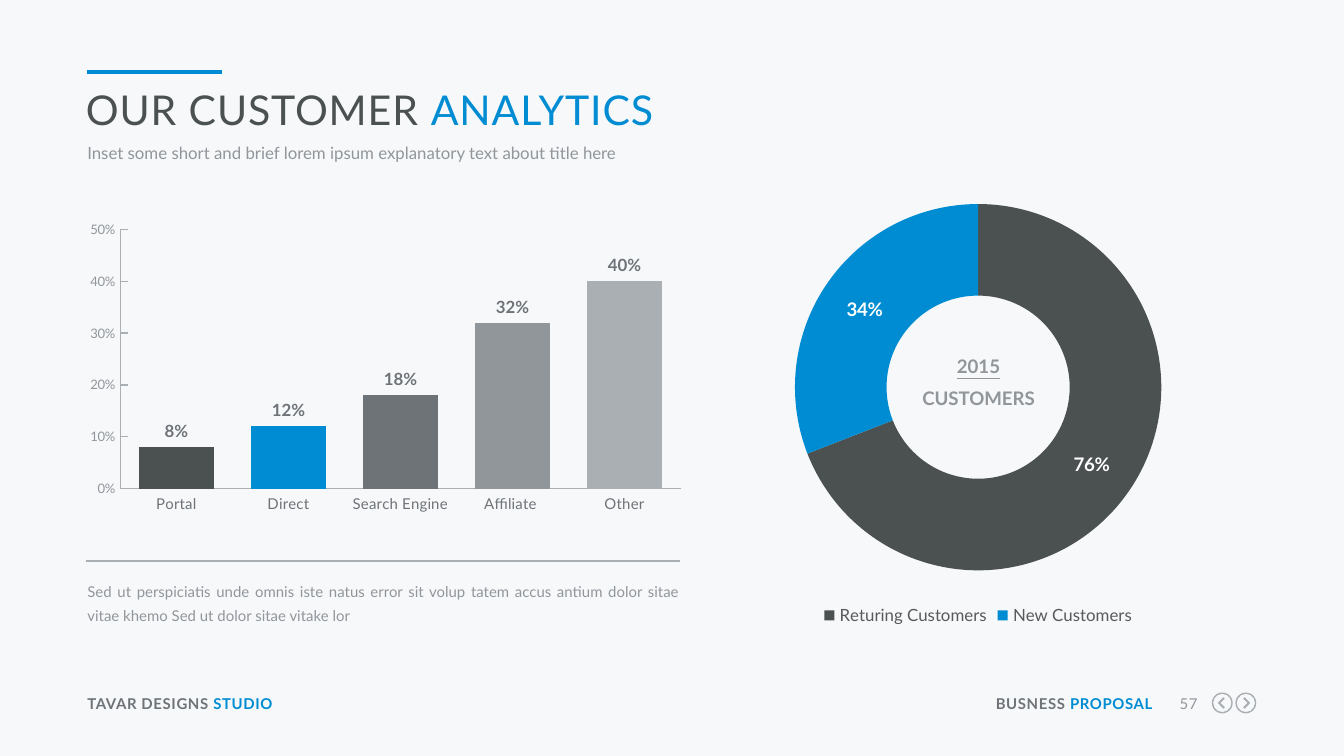
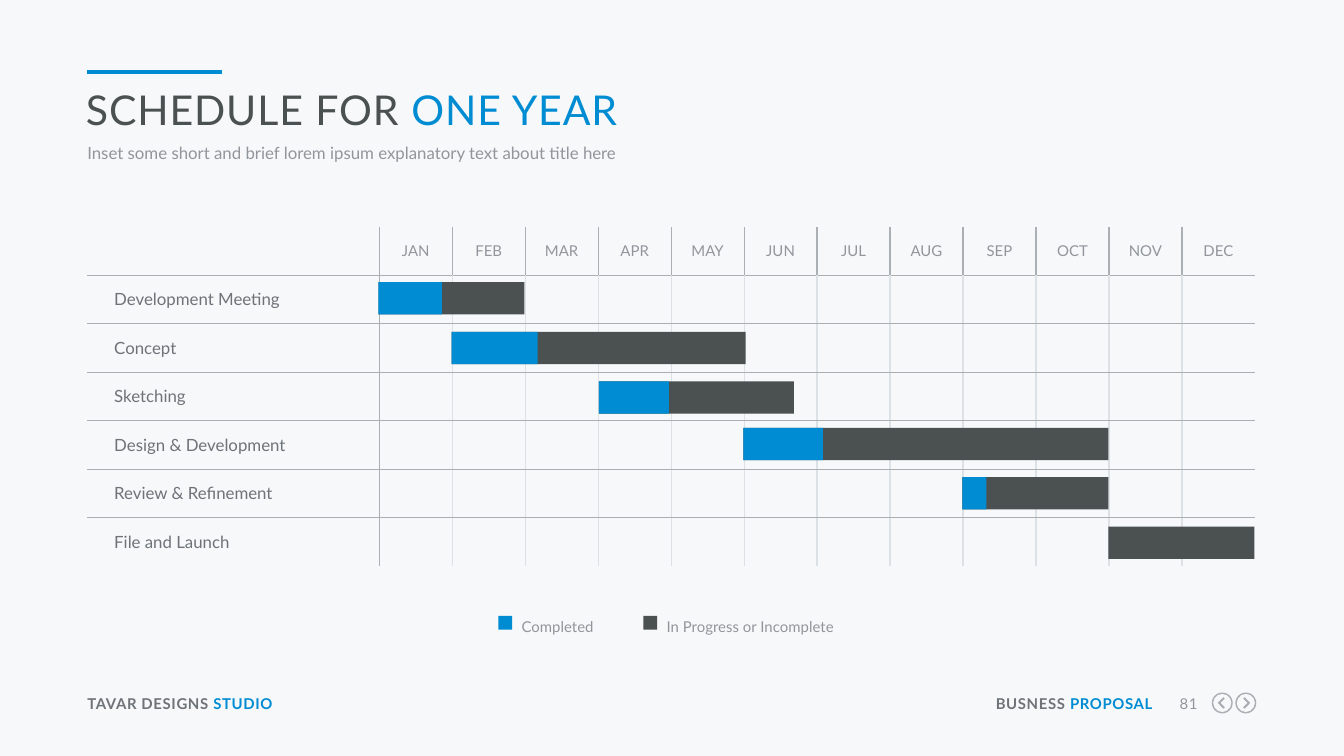
"""Build the customer analytics and one-year schedule slides."""
from dataclasses import dataclass

from lxml import etree
from pptx import Presentation
from pptx.chart.data import CategoryChartData
from pptx.dml.color import RGBColor
from pptx.enum.chart import (XL_CHART_TYPE as ChartType, XL_LABEL_POSITION as LabelPos,
                             XL_LEGEND_POSITION as LegendPos, XL_TICK_MARK as Tick)
from pptx.enum.shapes import MSO_CONNECTOR as Connector, MSO_SHAPE as Shape
from pptx.enum.text import MSO_ANCHOR as Anchor, PP_ALIGN as Align
from pptx.oxml.ns import qn
from pptx.util import Pt


@dataclass(frozen=True)
class Theme:
    """Colours, typeface, type sizes and margins of the deck."""
    paper: str = "F6F8FA"
    dark: str = "4B5050"
    accent: str = "008CD2"
    strong: str = "6E7378"
    muted: str = "91969B"
    rule: str = "AAAFB4"
    grid: str = "DCE1E6"
    legend: str = "595959"
    white: str = "FFFFFF"
    font: str = "Lato"
    title: float = 22
    large: float = 10
    medium: float = 9
    small: float = 8
    tiny: float = 7
    left: float = 46.8
    hairline: float = 0.75


def rgb(colour):
    """Turn a hex string into a colour."""
    return RGBColor.from_string(colour)


class Deck:
    """Hold the theme and the slide being drawn."""

    def __init__(self, theme):
        self.theme = theme
        self.file = Presentation()
        self.file.slide_width, self.file.slide_height = Pt(720), Pt(405)
        self.slide = None

    def font(self, font, size, colour, bold=False):
        """Apply the deck typeface to a font."""
        font.name, font.size, font.bold = self.theme.font, Pt(size), bold
        font.color.rgb = rgb(colour)

    def runs(self, paragraph, parts, size, bold=False, spacing=0):
        """Fill a paragraph with (text, colour) parts."""
        for words, colour in parts:
            run = paragraph.add_run()
            run.text = words
            self.font(run.font, size, colour, bold)
            if spacing:
                run.font._element.set("spc", str(round(spacing * 100)))

    def text(self, box, lines, size, bold=False, align=Align.LEFT,
             leading=None, after=None, spacing=0):
        """Add a text box; each line is a list of (text, colour) parts."""
        frame = self.slide.shapes.add_textbox(*map(Pt, box)).text_frame
        frame.word_wrap = True
        frame.margin_left = frame.margin_right = frame.margin_top = frame.margin_bottom = 0
        for index, parts in enumerate(lines):
            paragraph = frame.add_paragraph() if index else frame.paragraphs[0]
            paragraph.alignment = align
            if leading:
                paragraph.line_spacing = Pt(leading)
            if after:
                paragraph.space_after = Pt(after)
            self.runs(paragraph, parts, size, bold, spacing)
        return frame

    def line(self, x1, x2, y, colour, width):
        """Draw a horizontal rule."""
        rule = self.slide.shapes.add_connector(Connector.STRAIGHT, Pt(x1), Pt(y), Pt(x2), Pt(y))
        rule.line.color.rgb, rule.line.width = rgb(colour), Pt(width)
        etree.SubElement(rule._element.spPr, qn("a:effectLst"))

    def paint(self, shape, colour):
        """Give a shape a plain fill."""
        shape.shadow.inherit = False
        shape.fill.solid()
        shape.fill.fore_color.rgb = rgb(colour)
        shape.line.fill.background()

    def bar(self, x, y, width, height, colour):
        """Draw a plain rectangle."""
        self.paint(self.slide.shapes.add_shape(
            Shape.RECTANGLE, Pt(x), Pt(y), Pt(width), Pt(height)), colour)

    def arrow_button(self, x, y, direction):
        """Draw a ringed chevron; direction is 1 for right, -1 for left."""
        radii = (5.6, 4.9)
        contours = [[(r, 0), (0, r), (-r, 0), (0, -r), (r, 0)] for r in radii]
        chevron = [(-1.4, -2.3), (0.9, 0), (-1.4, 2.3), (-0.6, 3.1), (2.4, 0), (-0.6, -3.1)]
        contours.append([(direction * dx, dy) for dx, dy in chevron])
        builder = None
        for contour in contours:
            start, *rest = [(Pt(x + dx), Pt(y + dy)) for dx, dy in contour]
            if builder is None:
                builder = self.slide.shapes.build_freeform(*start, scale=1.0)
            else:
                builder.move_to(*start)
            builder.add_line_segments(rest, close=True)
        button = builder.convert_to_shape()
        sides = list(button._element.iter(qn("a:lnTo")))[:4 * len(radii)]
        for index, side in enumerate(sides):
            radius = str(Pt(radii[index // 4]))
            quarter = etree.Element(qn("a:arcTo"), wR=radius, hR=radius,
                                    stAng=str(index % 4 * 5400000), swAng="5400000")
            side.getparent().replace(side, quarter)
        self.paint(button, self.theme.rule)

    def page(self, number, title, highlight):
        """Start a slide with its heading and footer."""
        t = self.theme
        self.slide = self.file.slides.add_slide(self.file.slide_layouts[6])
        self.slide.background.fill.solid()
        self.slide.background.fill.fore_color.rgb = rgb(t.paper)
        self.line(t.left, 118.8, 38.7, t.accent, 2.25)
        footer = [(t.left, 140.4, "TAVAR DESIGNS ", "STUDIO", Align.LEFT),
                  (526.1, 91.4, "BUSNESS ", "PROPOSAL", Align.RIGHT)]
        for x, width, plain, coloured, align in footer:
            self.text((x, 371.9, width, 9.6), [[(plain, t.strong), (coloured, t.accent)]],
                      t.small, True, align, spacing=0.3)
        self.text((625, 371.9, 16.6, 9.6), [[(str(number), t.muted)]],
                  t.small, align=Align.RIGHT, spacing=0.3)
        self.arrow_button(667.4, 376.6, 1)
        self.arrow_button(654.8, 376.6, -1)
        self.text((46.1, 45.4, 626.4, 30.2), [[(title, t.dark), (highlight, t.accent)]],
                  t.title, spacing=0.5)
        self.text((t.left, 75.2, 626.4, 10.8),
                  [[("Inset some short and brief lorem ipsum explanatory text about title here",
                     t.muted)]], t.medium, leading=12)

    def chart(self, kind, box, values, colours, plot_box, label_size, label_colour):
        """Add a one-series chart with coloured points and value labels."""
        data = CategoryChartData(number_format="0%")
        data.categories = list(values)
        data.add_series("Series 1", list(values.values()))
        chart = self.slide.shapes.add_chart(kind, *map(Pt, box), data).chart
        chart.has_title = chart.has_legend = False
        self.font(chart.font, self.theme.small, self.theme.muted)
        plot = chart.plots[0]
        plot.vary_by_categories = kind == ChartType.DOUGHNUT
        for index, colour in enumerate(colours):
            fill = plot.series[0].points[index].format.fill
            fill.solid()
            fill.fore_color.rgb = rgb(colour)
        plot.has_data_labels = True
        labels = plot.data_labels
        labels.show_value, labels.show_percentage = True, False
        labels.number_format, labels.number_format_is_linked = "0%", False
        self.font(labels.font, label_size, label_colour, True)
        self.place_plot(chart, plot_box)
        return chart

    def place_plot(self, chart, plot_box):
        """Fix the inner plot area as fractions of the chart."""
        area = chart._chartSpace.chart.plotArea
        for old in area.findall(qn("c:layout")):
            area.remove(old)
        layout = etree.Element(qn("c:layout"))
        area.insert(0, layout)
        manual = etree.SubElement(layout, qn("c:manualLayout"))
        settings = [("layoutTarget", "inner"), ("xMode", "edge"), ("yMode", "edge"),
                    *zip("xywh", map(str, plot_box))]
        for name, value in settings:
            etree.SubElement(manual, qn("c:" + name)).set("val", value)

    def axis(self, axis, size, colour, tick):
        """Style a chart axis."""
        axis.has_major_gridlines = False
        axis.major_tick_mark, axis.minor_tick_mark = tick, Tick.NONE
        axis.format.line.color.rgb = rgb(self.theme.rule)
        axis.format.line.width = Pt(self.theme.hairline)
        self.font(axis.tick_labels.font, size, colour)

    def columns(self, box, values, colours, plot_box):
        """Add a column chart with a percentage axis."""
        t = self.theme
        chart = self.chart(ChartType.COLUMN_CLUSTERED, box, values, colours, plot_box,
                           t.medium, t.strong)
        chart.plots[0].gap_width = 50
        chart.plots[0].data_labels.position = LabelPos.OUTSIDE_END
        self.axis(chart.category_axis, t.small, t.strong, Tick.NONE)
        percent = chart.value_axis
        self.axis(percent, t.tiny, t.muted, Tick.INSIDE)
        percent.minimum_scale, percent.maximum_scale, percent.major_unit = 0, 0.5, 0.1
        percent.tick_labels.number_format = "0%"
        percent.tick_labels.number_format_is_linked = False

    def doughnut(self, box, values, colours, plot_box):
        """Add a doughnut chart with a legend below."""
        t = self.theme
        chart = self.chart(ChartType.DOUGHNUT, box, values, colours, plot_box, t.large, t.white)
        next(chart._chartSpace.iter(qn("c:holeSize"))).set("val", "61")
        chart.has_legend = True
        chart.legend.position = LegendPos.BOTTOM
        chart.legend.include_in_layout = False
        self.font(chart.legend.font, t.medium, t.legend)

    def cell(self, cell, words, size, colour, align, indent, borders):
        """Fill one table cell; borders maps edge tags to colours."""
        cell.margin_left = Pt(indent)
        cell.margin_right = cell.margin_top = cell.margin_bottom = 0
        cell.vertical_anchor = Anchor.MIDDLE
        if words:
            paragraph = cell.text_frame.paragraphs[0]
            paragraph.alignment = align
            self.runs(paragraph, [(words, colour)], size)
        properties = cell._tc.get_or_add_tcPr()
        for edge, tint in borders.items():
            border = etree.SubElement(properties, qn("a:" + edge), w=str(Pt(self.theme.hairline)))
            fill = etree.SubElement(border, qn("a:solidFill"))
            etree.SubElement(fill, qn("a:srgbClr"), val=tint)
        cell.fill.background()

    def schedule(self, top, row_height, first_width, month_width, months, tasks):
        """Add the month grid with one row per task."""
        t = self.theme
        rows, cols = len(tasks) + 1, len(months) + 1
        table = self.slide.shapes.add_table(
            rows, cols, Pt(t.left), Pt(top), Pt(first_width + month_width * len(months)),
            Pt(row_height * rows)).table
        table.first_row = table.horz_banding = False
        table._tbl.tblPr.find(qn("a:tableStyleId")).text = "{2D5ABB26-0587-4C30-8999-92F81FD0307C}"
        for c, column in enumerate(table.columns):
            column.width = Pt(month_width if c else first_width)
        for r, row in enumerate(table.rows):
            row.height = Pt(row_height)
            for c, cell in enumerate(row.cells):
                borders = {}
                if c:
                    borders["lnL"] = t.rule if r == 0 or c == 1 else t.grid
                if c < cols - 1:
                    borders["lnR"] = t.rule if r == 0 or c == 0 else t.grid
                if r:
                    borders["lnT"] = t.rule
                if r < rows - 1:
                    borders["lnB"] = t.rule
                if c == 0:
                    self.cell(cell, tasks[r - 1] if r else "", t.medium, t.strong,
                              Align.LEFT, 14.4, borders)
                else:
                    self.cell(cell, "" if r else months[c - 1], t.small, t.muted,
                              Align.CENTER, 0, borders)


def analytics(deck):
    """Draw the customer analytics slide."""
    t = deck.theme
    deck.page(57, "OUR CUSTOMER ", "ANALYTICS")
    deck.doughnut((383.8, 98.4, 280.4, 239.8),
                  {"Returing Customers": 0.76, "New Customers": 0.34},
                  [t.dark, t.accent], (0.15, 0.04, 0.7, 0.83))
    centre = deck.text((480.6, 185, 87.2, 32.4), [[("2015", t.muted)], [("CUSTOMERS", t.muted)]],
                       t.large, True, Align.CENTER, leading=17)
    centre.paragraphs[0].runs[0].font.underline = True
    deck.columns((41.4, 114.8, 329.8, 163.4),
                 {"Portal": 0.08, "Direct": 0.12, "Search Engine": 0.18,
                  "Affiliate ": 0.32, "Other": 0.4},
                 [t.dark, t.accent, t.strong, t.muted, t.rule], (0.07, 0.05, 0.91, 0.85))
    deck.text((t.left, 308.6, 317.5, 26),
              [[("Sed ut perspiciatis unde omnis iste natus error sit volup tatem accus antium "
                 "dolor sitae vitae khemo Sed ut dolor sitae vitake lor", t.muted)]],
              t.small, align=Align.JUSTIFY, leading=13, after=6)
    deck.line(46.1, 364.3, 300.6, t.rule, t.hairline)


def one_year(deck):
    """Draw the one-year schedule slide."""
    t = deck.theme
    deck.page(81, "SCHEDULE FOR ", "ONE YEAR")
    months = "JAN FEB MAR APR MAY JUN JUL AUG SEP OCT NOV DEC".split()
    tasks = {"Development Meeting": (0, 2, 0.87, 151.2),
             "Concept": (1, 4.03, 1.18, 177.8),
             "Sketching": (3.02, 2.67, 0.96, 204.4),
             "Design & Development": (5, 5, 1.09, 229.2),
             "Review & Refinement": (8, 2, 0.33, 255.6),
             "File and Launch": (10, 2, 0, 282.2)}
    year_start, month_width = 202.8, 39.1
    deck.schedule(121.4, 26, 156.4, month_width, months, list(tasks))
    for start, length, done, top in tasks.values():
        x = year_start + start * month_width
        for span, colour in ((length, t.dark), (done, t.accent)):
            if span:
                deck.bar(x, top, span * month_width, 17.3, colour)
    for x, width, label, colour in ((267, 45.4, "Completed", t.accent),
                                    (344.7, 95.8, "In Progress or Incomplete", t.dark)):
        deck.bar(x, 329.9, 7.4, 7.4, colour)
        deck.text((x + 12.4, 327.4, width, 13), [[(label, t.muted)]], t.small,
                  align=Align.JUSTIFY, leading=13, after=6)


def main():
    """Build and save the deck."""
    deck = Deck(Theme())
    analytics(deck)
    one_year(deck)
    deck.file.save("out.pptx")


if __name__ == "__main__":
    main()
